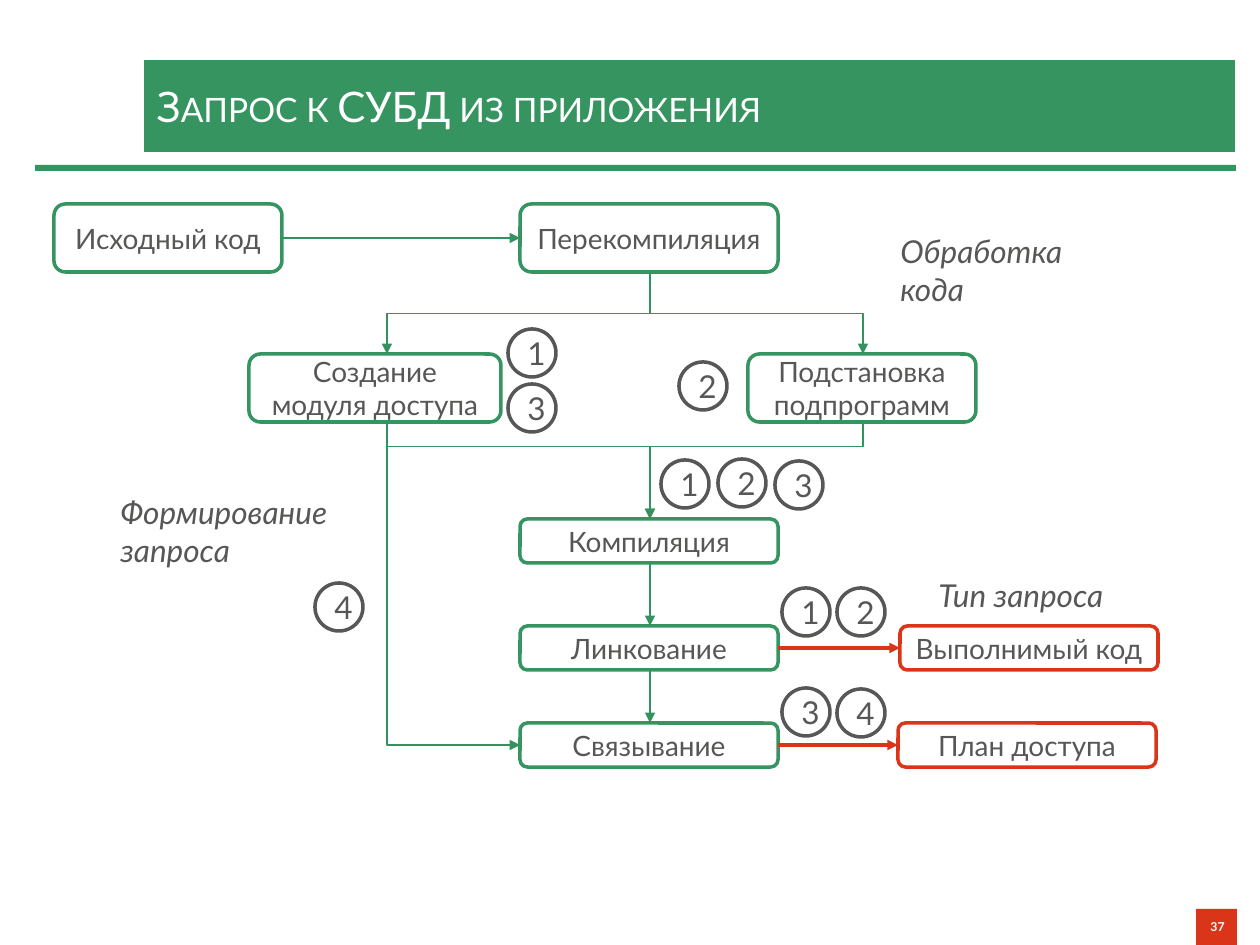
"""Build the slide on a DBMS query issued from an application."""
from dataclasses import dataclass

import pptx
import pptx.dml.color
import pptx.enum.shapes
import pptx.enum.text
import pptx.oxml
import pptx.oxml.ns
import pptx.util

EMU_PER_PX = 914400 / 126
FONT = "Lato"
GREEN, ARROW_GREEN, RED = "369461", "33935F", "DB3519"
GRAY, WHITE = "575756", "FFFFFF"
SHAPE = pptx.enum.shapes.MSO_SHAPE
CONNECTOR = pptx.enum.shapes.MSO_CONNECTOR
ALIGN = pptx.enum.text.PP_ALIGN
MIDDLE = pptx.enum.text.MSO_ANCHOR.MIDDLE


@dataclass
class Box:
    text: str
    x: int
    y: int
    w: int
    h: int
    color: str = GREEN


@dataclass
class Label:
    lines: list[str]
    x: int
    y: int
    w: int
    h: int


@dataclass
class Arrow:
    x1: int
    y1: int
    x2: int
    y2: int
    color: str = ARROW_GREEN
    width: float = 0.75


@dataclass
class Elbow(Arrow):
    bend: float = 0.5
    preset: str = "bentConnector3"


@dataclass
class Badge:
    number: int
    x: int
    y: int


CENTER, LEFT, RIGHT = 650, 387, 863
BADGE_SIZE = 48

BOXES = [
    Box("Исходный код", 54, 204, 228, 68),
    Box("Перекомпиляция", 520, 204, 258, 68),
    Box("Создание модуля доступа", 249, 354, 252, 68),
    Box("Подстановка подпрограмм", 748, 354, 228, 68),
    Box("Компиляция", 520, 519, 258, 44),
    Box("Линкование", 520, 626, 258, 44),
    Box("Связывание", 520, 723, 258, 44),
    Box("Выполнимый код", 900, 626, 258, 44, RED),
    Box("План доступа", 898, 723, 258, 44, RED),
]
ARROWS = [
    Arrow(282, 238, 520, 238),
    Arrow(CENTER, 564, CENTER, 626),
    Arrow(CENTER, 670, CENTER, 723),
    Arrow(778, 648, 900, 648, RED, 2),
    Arrow(778, 745, 898, 745, RED, 2),
]
ELBOWS = [
    Elbow(CENTER, 273, LEFT, 354),
    Elbow(CENTER, 273, RIGHT, 354),
    Elbow(LEFT, 422, CENTER, 519, bend=0.25),
    Elbow(RIGHT, 422, CENTER, 519, bend=0.25),
    Elbow(LEFT, 422, 520, 745, preset="bentConnector2"),
]
LABELS = [
    Label(["Обработка кода"], 888, 226, 247, 50),
    Label(["Формирование", "запроса"], 108, 487, 236, 89),
    Label(["Тип запроса"], 926, 570, 270, 50),
]
BADGES = [
    Badge(2, 679, 362), Badge(4, 315, 583),
    Badge(1, 508, 329), Badge(3, 508, 384),
    Badge(1, 661, 460), Badge(2, 718, 459), Badge(3, 775, 461),
    Badge(1, 782, 588), Badge(2, 837, 588),
    Badge(3, 782, 688), Badge(4, 837, 689),
]


def px(n: float) -> int:
    """Convert pixels to EMU."""
    return round(n * EMU_PER_PX)


def rgb(color: str) -> pptx.dml.color.RGBColor:
    """Turn a hex string into a colour."""
    return pptx.dml.color.RGBColor.from_string(color)


def style(p, size: int, color: str, align=ALIGN.LEFT, bold=False, italic=False) -> None:
    """Format a whole paragraph."""
    p.alignment = align
    p.font.name = FONT
    p.font.size = pptx.util.Pt(size)
    p.font.bold = bold
    p.font.italic = italic
    p.font.color.rgb = rgb(color)


def add_shape(slide, kind, x: int, y: int, w: int, h: int, fill: str, line: str = ""):
    """Add a filled preset shape with an optional outline."""
    s = slide.shapes.add_shape(kind, px(x), px(y), px(w), px(h))
    s.shadow.inherit = False
    s.fill.solid()
    s.fill.fore_color.rgb = rgb(fill)
    if line:
        s.line.color.rgb = rgb(line)
        s.line.width = pptx.util.Pt(2)
    else:
        s.line.fill.background()
    return s


def add_text(s, text: str, size: int, color: str, align=ALIGN.CENTER, bold=False) -> None:
    """Write one vertically centred paragraph into a shape."""
    tf = s.text_frame
    tf.word_wrap = True
    tf.vertical_anchor = MIDDLE
    p = tf.paragraphs[0]
    p.text = text
    style(p, size, color, align, bold)


def format_arrow(s, a: Arrow) -> None:
    """Give a connector its line, arrowhead and no shadow."""
    s.line.color.rgb = rgb(a.color)
    s.line.width = pptx.util.Pt(a.width)
    qn = pptx.oxml.ns.qn
    s.line._get_or_add_ln().makeelement
    tail = s.line._get_or_add_ln().makeelement(qn("a:tailEnd"), {"type": "triangle"})
    s.line._get_or_add_ln().append(tail)
    s._element.spPr.append(tail.makeelement(qn("a:effectLst"), {}))


def add_arrow(slide, a: Arrow) -> None:
    """Draw a straight arrow."""
    ends = map(px, (a.x1, a.y1, a.x2, a.y2))
    format_arrow(slide.shapes.add_connector(CONNECTOR.STRAIGHT, *ends), a)


def add_elbow(slide, e: Elbow) -> None:
    """Draw a bent arrow that leaves downwards, as a connector turned on its side."""
    side = 1 if e.x2 > e.x1 else -1
    cx, cy = (e.x1 + e.x2) / 2, (e.y1 + e.y2) / 2
    dx, dy = side * (e.y2 - e.y1) / 2, abs(e.x2 - e.x1) / 2
    ends = map(px, (cx + dx, cy - dy, cx - dx, cy + dy))
    s = slide.shapes.add_connector(CONNECTOR.ELBOW, *ends)
    qn = pptx.oxml.ns.qn
    spPr = s._element.spPr
    spPr.find(qn("a:xfrm")).set("rot", str((270 if side > 0 else 90) * 60000))
    geom = spPr.find(qn("a:prstGeom"))
    geom.set("prst", e.preset)
    if e.preset == "bentConnector3":
        guide = {"name": "adj1", "fmla": f"val {round(e.bend * 100000)}"}
        geom.get_or_add_avLst().append(geom.makeelement(qn("a:gd"), guide))
    format_arrow(s, e)


def add_label(slide, label: Label) -> None:
    """Add an italic caption."""
    s = slide.shapes.add_textbox(px(label.x), px(label.y), px(label.w), px(label.h))
    tf = s.text_frame
    tf.word_wrap = True
    tf.text = "\n".join(label.lines)
    for p in tf.paragraphs:
        style(p, 18, GRAY, italic=True)


def add_title(slide, text: str) -> None:
    """Place and format the title band."""
    s = slide.shapes.title
    s.left, s.top, s.width, s.height = map(px, (144, 60, 1091, 92))
    s.fill.solid()
    s.fill.fore_color.rgb = rgb(GREEN)
    add_text(s, text, 24, WHITE, ALIGN.LEFT)
    tf = s.text_frame
    tf.auto_size = pptx.enum.text.MSO_AUTO_SIZE.NONE
    tf.margin_top = tf.margin_bottom = px(15)
    tf.paragraphs[0].font._element.set("cap", "small")


def main() -> None:
    """Build and save the slide."""
    prs = pptx.Presentation()
    prs.slide_width, prs.slide_height = px(1260), px(945)
    slide = prs.slides.add_slide(prs.slide_layouts[5])
    add_shape(slide, SHAPE.RECTANGLE, 35, 165, 1201, 6, GREEN)
    add_title(slide, "Запрос к СУБД из приложения")
    number = add_shape(slide, SHAPE.RECTANGLE, 1196, 909, 41, 36, RED)
    add_text(number, "37", 7, WHITE, ALIGN.RIGHT, bold=True)
    for b in BOXES:
        s = add_shape(slide, SHAPE.ROUNDED_RECTANGLE, b.x, b.y, b.w, b.h, WHITE, b.color)
        add_text(s, b.text, 16, GRAY)
    for a in ARROWS:
        add_arrow(slide, a)
    for e in ELBOWS:
        add_elbow(slide, e)
    for label in LABELS:
        add_label(slide, label)
    for c in BADGES:
        s = add_shape(slide, SHAPE.OVAL, c.x, c.y, BADGE_SIZE, BADGE_SIZE, WHITE, GRAY)
        add_text(s, str(c.number), 18, GRAY)


    prs.save("out.pptx")


if __name__ == "__main__":
    main()
